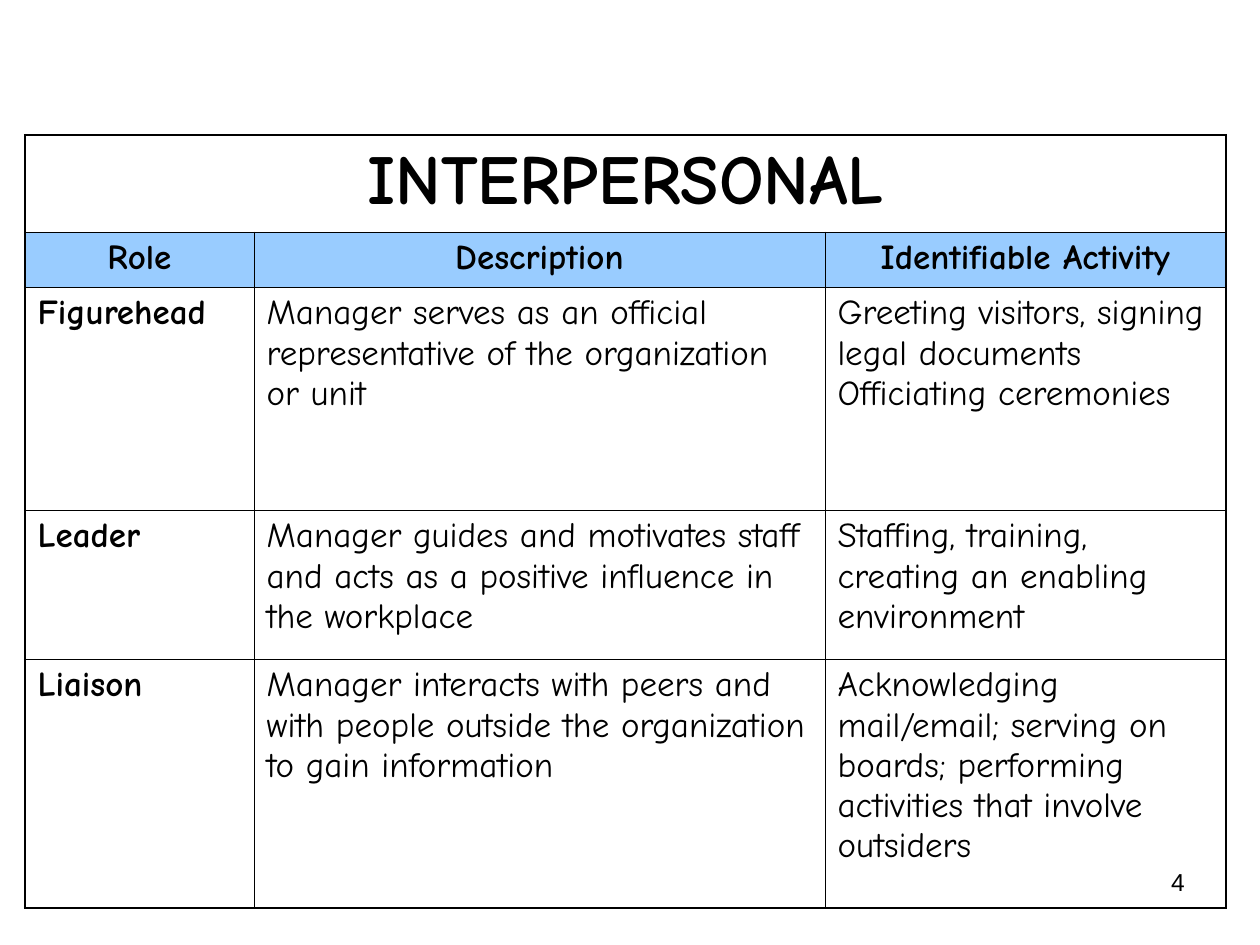
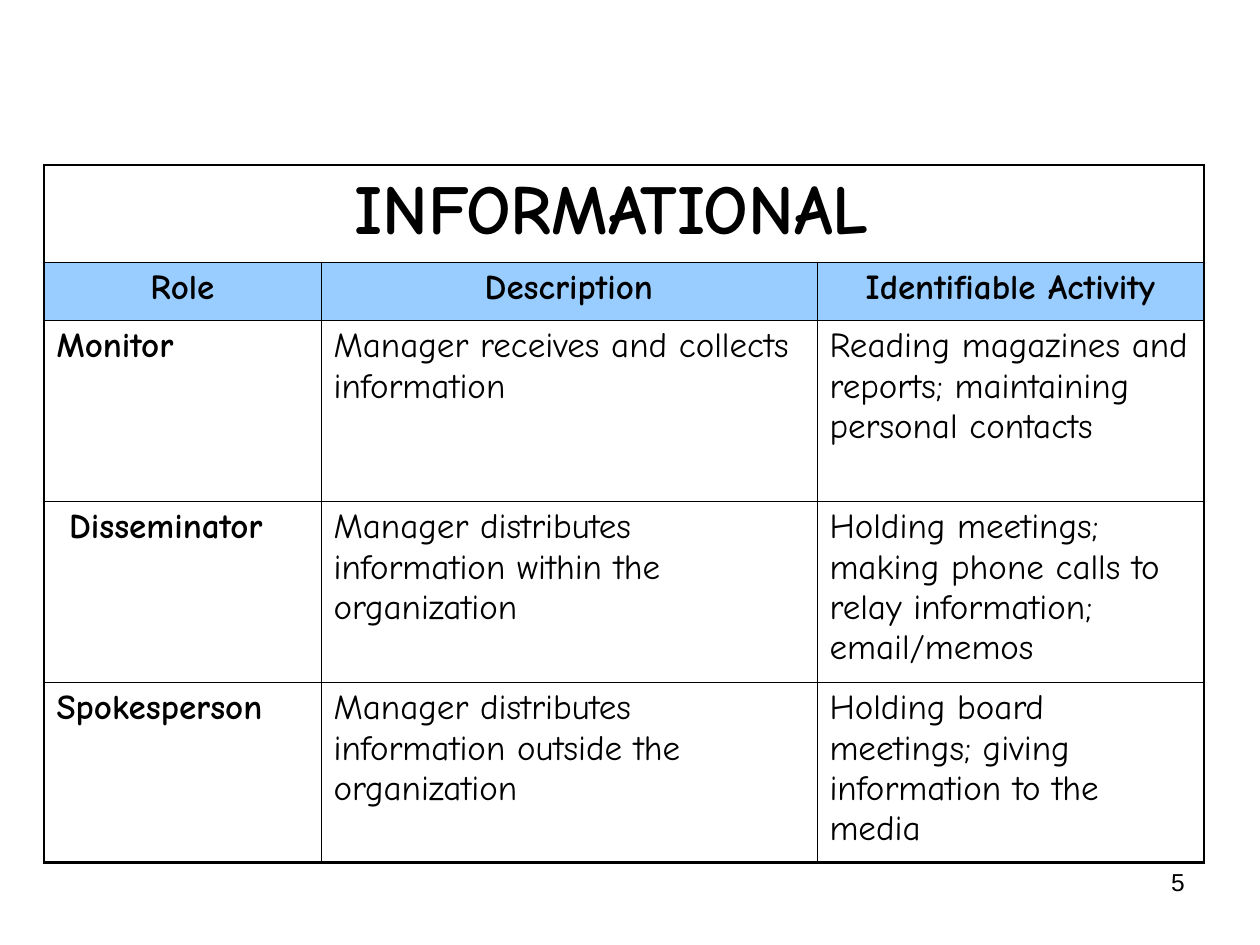
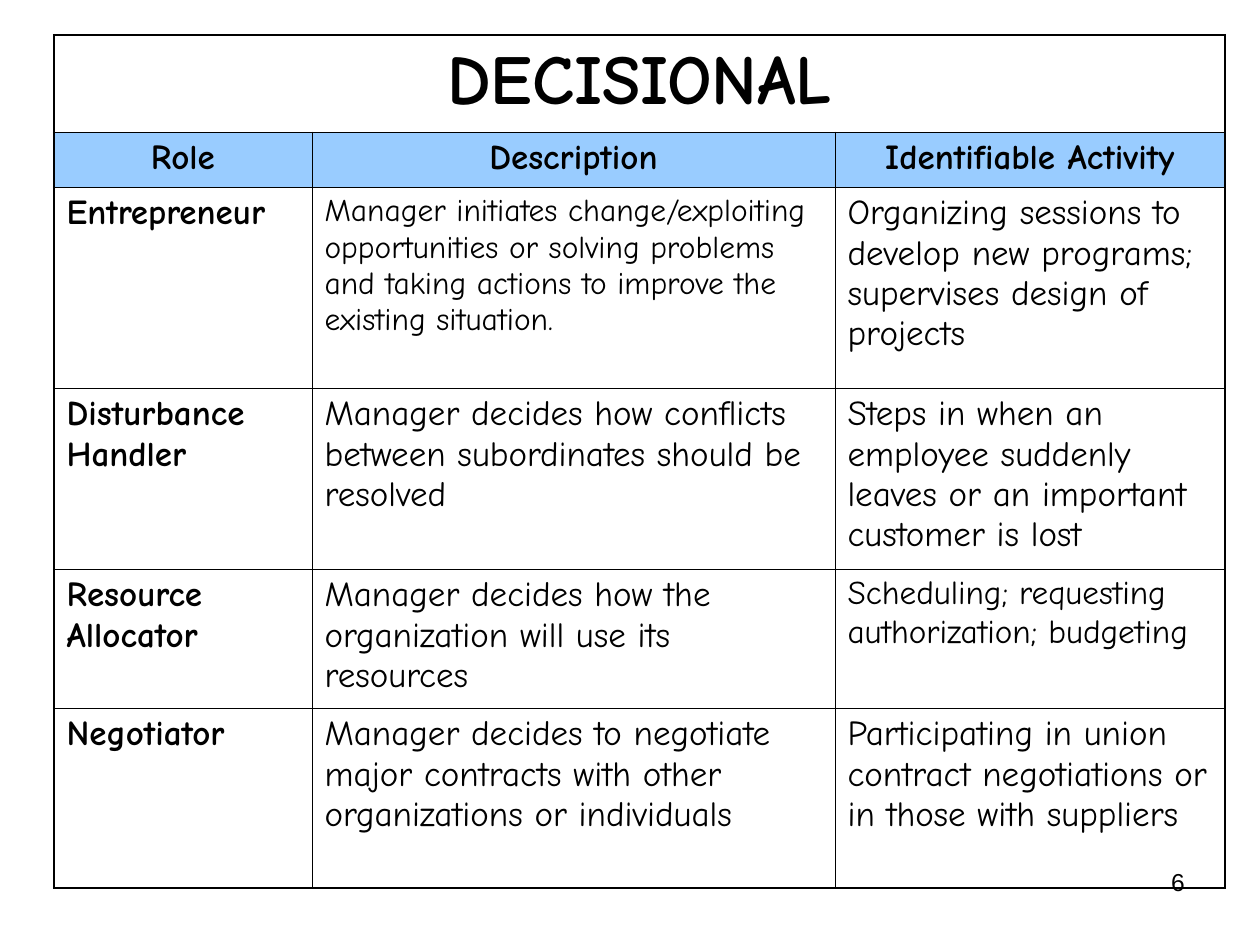
"""Build three slides of tables on the interpersonal, informational and decisional roles of managers."""
from lxml import etree
from pptx import Presentation, util as u
from pptx.dml.color import RGBColor
from pptx.enum import text
from pptx.oxml.ns import qn

PX = u.Inches(1) / 126
BLACK = RGBColor(0x00, 0x00, 0x00)
HEADING_BLUE = RGBColor(0x99, 0xCC, 0xFF)
TABLE_FONT = "Comic Neue"
NUMBER_FONT = "Arial"
OUTER_LINE = 1.47
HEADINGS = ("Role", "Description", "Identifiable Activity")

GROUPS = [
    dict(title="INTERPERSONAL", number=4, corner=(25, 135), inner_line=0.34,
         columns=(229, 571, 401), rows=(97, 55, 223, 149, 249), sizes={},
         roles=[
             ("Figurehead",
              "Manager serves as an official representative of the organization or unit",
              "Greeting visitors, signing legal documents\nOfficiating ceremonies"),
             ("Leader",
              "Manager guides and motivates staff and acts as a positive influence in the workplace",
              "Staffing, training, creating an enabling environment"),
             ("Liaison",
              "Manager interacts with peers and with people outside the organization to gain information",
              "Acknowledging mail/email; serving on boards; performing activities that involve outsiders"),
         ]),
    dict(title="INFORMATIONAL ", number=5, corner=(44, 165), inner_line=0.45,
         columns=(277, 496, 387), rows=(97, 58, 181, 181, 180), sizes={},
         roles=[
             ("Monitor",
              "Manager receives and collects information",
              "Reading magazines and reports; maintaining personal contacts"),
             (" Disseminator",
              "Manager distributes information within the organization",
              "Holding meetings; making phone calls to relay information; email/memos"),
             ("Spokesperson",
              "Manager distributes information outside the organization",
              "Holding board meetings; giving information to the media"),
         ]),
    dict(title="DECISIONAL", number=6, corner=(54, 35), inner_line=0.45,
         columns=(258, 523, 390), rows=(97, 55, 201, 181, 139, 180),
         sizes={(2, 1): 18, (4, 2): 19},
         roles=[
             ("Entrepreneur",
              "Manager initiates change/exploiting opportunities or solving problems "
              "and taking actions to improve the existing situation.",
              "Organizing sessions to develop new programs; supervises design of projects"),
             ("Disturbance Handler",
              "Manager decides how conflicts between subordinates should be resolved",
              "Steps in when an employee suddenly leaves or an important customer is lost"),
             ("Resource Allocator",
              "Manager decides how the organization will use its resources",
              "Scheduling; requesting authorization; budgeting"),
             ("Negotiator",
              "Manager decides to negotiate major contracts with other organizations or individuals",
              "Participating in union contract negotiations or in those with suppliers"),
         ]),
]


def px(*lengths):
    return [u.Emu(round(length * PX)) for length in lengths]


def set_borders(cell, widths):
    for side, width in widths.items():
        line = etree.SubElement(cell._tc.get_or_add_tcPr(), qn(f"a:ln{side}"), w=str(u.Pt(width)))
        fill = etree.SubElement(line, qn("a:solidFill"))
        etree.SubElement(fill, qn("a:srgbClr"), val=str(BLACK))


prs = Presentation()
prs.slide_width, prs.slide_height = px(1260, 945)

for group in GROUPS:
    slide = prs.slides.add_slide(prs.slide_layouts[6])

    number = slide.shapes.add_textbox(*px(903, 861, 294, 66)).text_frame
    number.word_wrap = True
    number.text = str(group["number"])
    number.paragraphs[0].alignment = text.PP_ALIGN.RIGHT
    number.paragraphs[0].font.size = u.Pt(14)
    number.paragraphs[0].font.name = NUMBER_FONT
    number.paragraphs[0].font.color.rgb = BLACK

    columns, rows = group["columns"], group["rows"]
    extent = px(*group["corner"], sum(columns), sum(rows))
    table = slide.shapes.add_table(len(rows), len(columns), *extent).table
    table.first_row = table.horz_banding = False
    for column, width in zip(table.columns, px(*columns)):
        column.width = width
    for row, height in zip(table.rows, px(*rows)):
        row.height = height
    table.cell(0, 0).merge(table.cell(0, 2))

    content = [(group["title"], "", ""), HEADINGS, *group["roles"]]
    inner = group["inner_line"]
    for r, entries in enumerate(content):
        for c, entry in enumerate(entries):
            cell = table.cell(r, c)
            set_borders(cell, {
                "L": OUTER_LINE if c == 0 else inner,
                "R": OUTER_LINE if c == 2 or r == 0 else inner,
                "T": OUTER_LINE if r == 0 else inner,
                "B": OUTER_LINE if r == len(rows) - 1 else inner,
            })
            if r == 1:
                cell.fill.solid()
                cell.fill.fore_color.rgb = HEADING_BLUE
            else:
                cell.fill.background()
            if not entry:
                continue
            cell.text = entry
            for paragraph in cell.text_frame.paragraphs:
                paragraph.alignment = text.PP_ALIGN.CENTER if r < 2 else text.PP_ALIGN.LEFT
                paragraph.font.name = TABLE_FONT
                paragraph.font.size = u.Pt(40 if r == 0 else group["sizes"].get((r, c), 20))
                paragraph.font.bold = r < 2 or c == 0
                paragraph.font.color.rgb = BLACK

prs.save("out.pptx")
